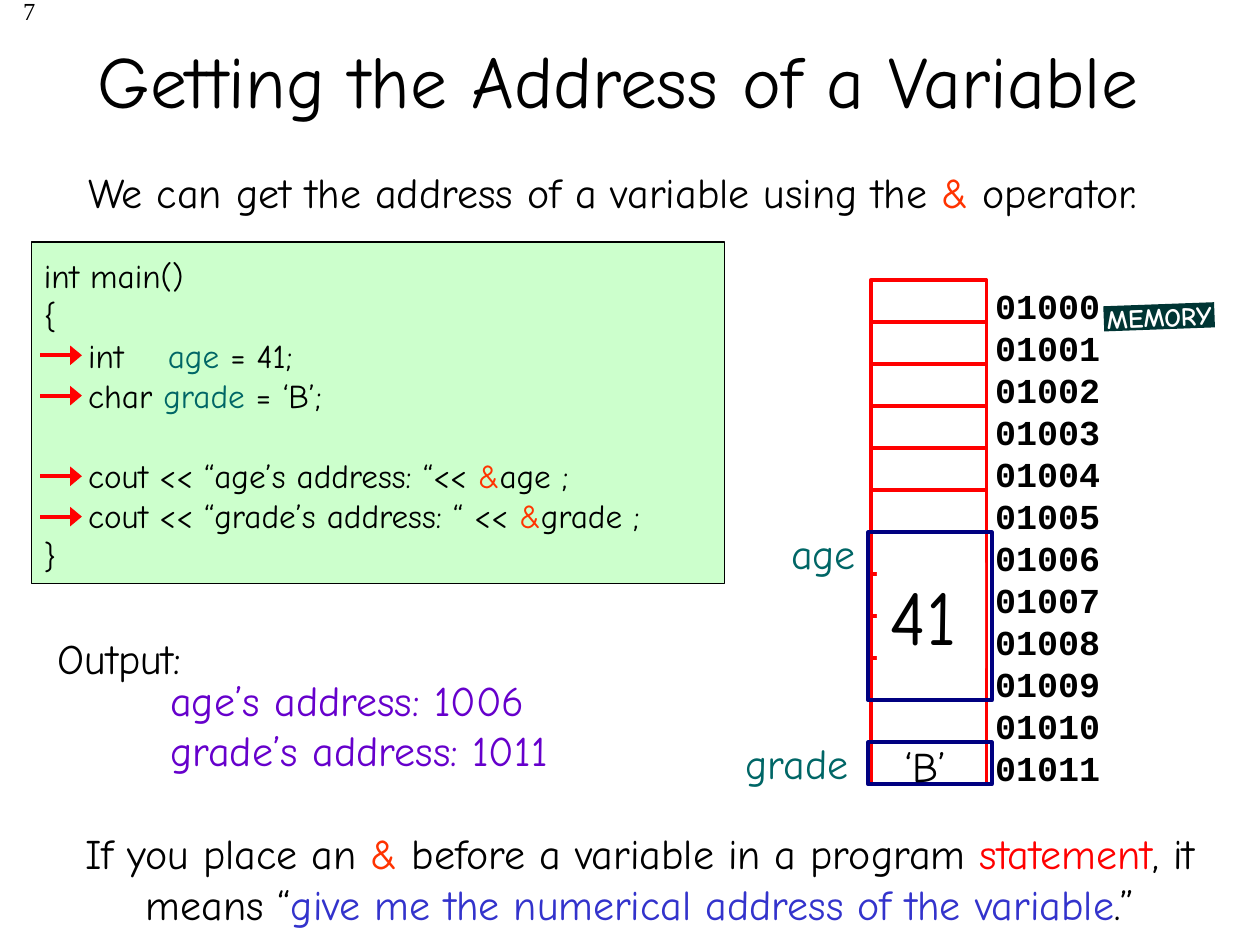
import pptx
import pptx.util
import pptx.dml.color
import pptx.enum.shapes
import pptx.enum.text
import pptx.oxml.ns
from collections import namedtuple
from lxml import etree

Pt = pptx.util.Pt
qn = pptx.oxml.ns.qn
ALIGN = pptx.enum.text.PP_ALIGN
ANCHOR = pptx.enum.text.MSO_ANCHOR
RECT = pptx.enum.shapes.MSO_SHAPE.RECTANGLE

# Grid: 100 columns by 75 rows of square units; every box is in these units
COLS, ROWS = 100, 75
UNIT = pptx.util.Inches(0.1)

# Fonts, text sizes and line widths
FONT, MONO, SERIF = "Comic Neue", "Courier New", "Times New Roman"
HUGE, BIG, TEXT, CODE = 44, 42, 24, 19
THICK, THIN = 2.25, 0.75

# Colours
BLACK, WHITE, RED, ORANGE = "000000", "FFFFFF", "FF0000", "FF3300"
TEAL, NAVY, BLUE, PLUM = "006666", "000080", "3333CC", "6600CC"
MINT, DARK = "CCFFCC", "003534"

# A variable: first cell, number of cells, width of its name label,
# then how its value is drawn (spot is relative to the first cell)
Stored = namedtuple("Stored", "name first cells wide value size spot fill")
STORED = [
    Stored("age", 6, 4, 7.4, "41", HUGE, (0.5, 2.4, 8.6, 8.4), WHITE),
    Stored("grade", 11, 1, 11, "‘B’", TEXT, (1.7, -0.6, 5.3, 5), None),
]
CELLS, START = 12, 1000

# Program lines, each a list of (text, colour) runs
AMP = ("&", ORANGE)
PROGRAM = [
    [("int main()", BLACK)],
    [("{", BLACK)],
    [("    int    ", BLACK), ("age", TEAL), (" = 41;", BLACK)],
    [("    char ", BLACK), ("grade ", TEAL), ("= ‘B’;", BLACK)],
    [("    cout << “age’s address: “<< ", BLACK), AMP, ("age ;", BLACK)],
    [("    cout << “grade’s address: “ << ", BLACK), AMP,
     ("grade ;", BLACK)],
    [("}", BLACK)],
]
PRINTS = 4               # index of the first cout line, set off by a gap
MARKED = (2, 3, 5, 6)    # rows with an arrow, counting the gap as a row


def tint(code):
    return pptx.dml.color.RGBColor.from_string(code)


def span(*units):
    return [round(n * UNIT) for n in units]


def place(shape, box):
    shape.left, shape.top, shape.width, shape.height = span(*box)


def write(shape, lines, size, font=FONT, bold=False, align=ALIGN.LEFT,
          anchor=ANCHOR.TOP, wrap=True, pitch=None):
    """Fill a shape with lines of (text, colour) runs."""
    frame = shape.text_frame
    frame.auto_size = pptx.enum.text.MSO_AUTO_SIZE.NONE
    frame.word_wrap = wrap
    frame.vertical_anchor = anchor
    for i, line in enumerate(lines):
        para = frame.add_paragraph() if i else frame.paragraphs[0]
        para.alignment = align
        para.space_before = Pt(0)
        if pitch:
            para.line_spacing = Pt(pitch)
        for text, colour in line:
            run = para.add_run()
            run.text = text
            run.font.name = font
            run.font.size = Pt(size)
            run.font.bold = bold
            run.font.color.rgb = tint(colour)
    return frame


def label(slide, box, lines, size, **style):
    return write(slide.shapes.add_textbox(*span(*box)), lines, size, **style)


def block(slide, box, fill=None, line=None, width=THICK):
    shape = slide.shapes.add_shape(RECT, *span(*box))
    shape.shadow.inherit = False
    for paint, colour in ((shape.fill, fill), (shape.line.fill, line)):
        if colour:
            paint.solid()
            paint.fore_color.rgb = tint(colour)
        else:
            paint.background()
    if line:
        shape.line.width = Pt(width)
    return shape


def arrow(slide, x, y, size):
    line = slide.shapes.add_connector(
        pptx.enum.shapes.MSO_CONNECTOR.STRAIGHT, *span(x, y, x + size, y))
    line.line.color.rgb = tint(RED)
    line.line.width = Pt(THICK)
    props = line._element.spPr
    etree.SubElement(props.find(qn("a:ln")), qn("a:tailEnd"),
                     type="triangle", w="lg", len="med")
    etree.SubElement(props, qn("a:effectLst"))


def head(slide, box):
    """Page number, title and opening sentence."""
    x, y, w, h = box
    number = label(slide, (x, y - 0.3, 3.8, 4), [[("7", BLACK)]], 14,
                   font=SERIF, align=ALIGN.RIGHT)
    number.margin_top = 0
    title = slide.shapes.title
    place(title, (x + 1.1, y, w - 2.2, h - 5.2))
    write(title, [[("Getting the Address of a Variable ", BLACK)]], BIG,
          align=ALIGN.CENTER, anchor=ANCHOR.MIDDLE)
    label(slide, (x - 0.8, y + h - 5, w, 5),
          [[("We can get the address of a variable using the ", BLACK),
            AMP, (" operator. ", BLACK)]], TEXT, align=ALIGN.CENTER)


def memory(slide, box):
    """Column of cells with addresses, and the stored variables."""
    x, y, w, h = box
    step = h / CELLS
    for i in range(CELLS):
        block(slide, (x, y + i * step, w, step), line=RED)
    codes = [[(f"{START + i:05d}", BLACK)] for i in range(CELLS)]
    label(slide, (x + w - 0.3, y - 0.2, 10.3, h + 1), codes, 20,
          font=MONO, bold=True, wrap=False, pitch=24)

    # Names, frames and values of the variables
    for var in STORED:
        top = y + var.first * step
        label(slide, (x + 0.1 - var.wide, top - 0.85, var.wide, 5.1),
              [[(var.name, TEAL)]], TEXT, wrap=False)
        block(slide, (x - 0.2, top, w + 0.6, var.cells * step), line=NAVY)
        dx, dy, wide, high = var.spot
        value = block(slide, (x + dx, top + dy, wide, high), fill=var.fill)
        write(value, [[(var.value, BLACK)]], var.size, wrap=False)

    # Tilted tag
    tag = block(slide, (x + w + 9.3, y + 1.9, 8.8, 2), fill=DARK)
    tag.rotation = 357.9
    write(tag, [[("MEMORY", WHITE)]], 15, bold=True, align=ALIGN.CENTER,
          anchor=ANCHOR.MIDDLE, wrap=False)


def code(slide, box):
    """Program listing with an arrow at each statement."""
    x, y, w, h = box
    block(slide, box, fill=MINT, line=BLACK, width=THIN)
    frame = label(slide, (x, y + 0.6, w, h), PROGRAM, CODE)
    frame.paragraphs[PRINTS].space_before = Pt(22.9)
    pitch = 3.2
    for row in MARKED:
        arrow(slide, x + 0.7, y + 2.6 + row * pitch, 3.3)


def output(slide, box):
    """Heading, and the printed lines in the body placeholder."""
    x, y, w, h = box
    label(slide, (x, y, 14, 5), [[("Output:", BLACK)]], TEXT,
          align=ALIGN.CENTER, wrap=False)
    body = slide.placeholders[1]
    place(body, (x + 10, y + 3.3, w - 10, h - 3.3))
    frame = write(body, [[("age’s address: 1006", PLUM)],
                         [("grade’s address: 1011", PLUM)]], TEXT)
    for para in frame.paragraphs:
        props = para._p.get_or_add_pPr()
        props.set("marL", "0")
        props.set("indent", "0")
        etree.SubElement(props, qn("a:buNone"))


def foot(slide, box):
    """Closing sentence."""
    label(slide, box, [[
        ("If you place an ", BLACK), AMP,
        (" before a variable in a program ", BLACK), ("statement", RED),
        (", it means “", BLACK),
        ("give me the numerical address of the variable", BLUE),
        (".”", BLACK)]], TEXT, align=ALIGN.CENTER)


def main():
    deck = pptx.Presentation()
    deck.slide_width, deck.slide_height = span(COLS, ROWS)
    slide = deck.slides.add_slide(deck.slide_layouts[1])
    head(slide, (0, 0, COLS, 17.7))
    memory(slide, (69.1, 22.25, 9.2, 40))
    code(slide, (2.5, 19.2, 55, 27.1))
    output(slide, (2.5, 49.7, 50.2, 12.5))
    foot(slide, (3.3, 65.2, 95, 9.1))
    deck.save("out.pptx")


if __name__ == "__main__":
    main()
